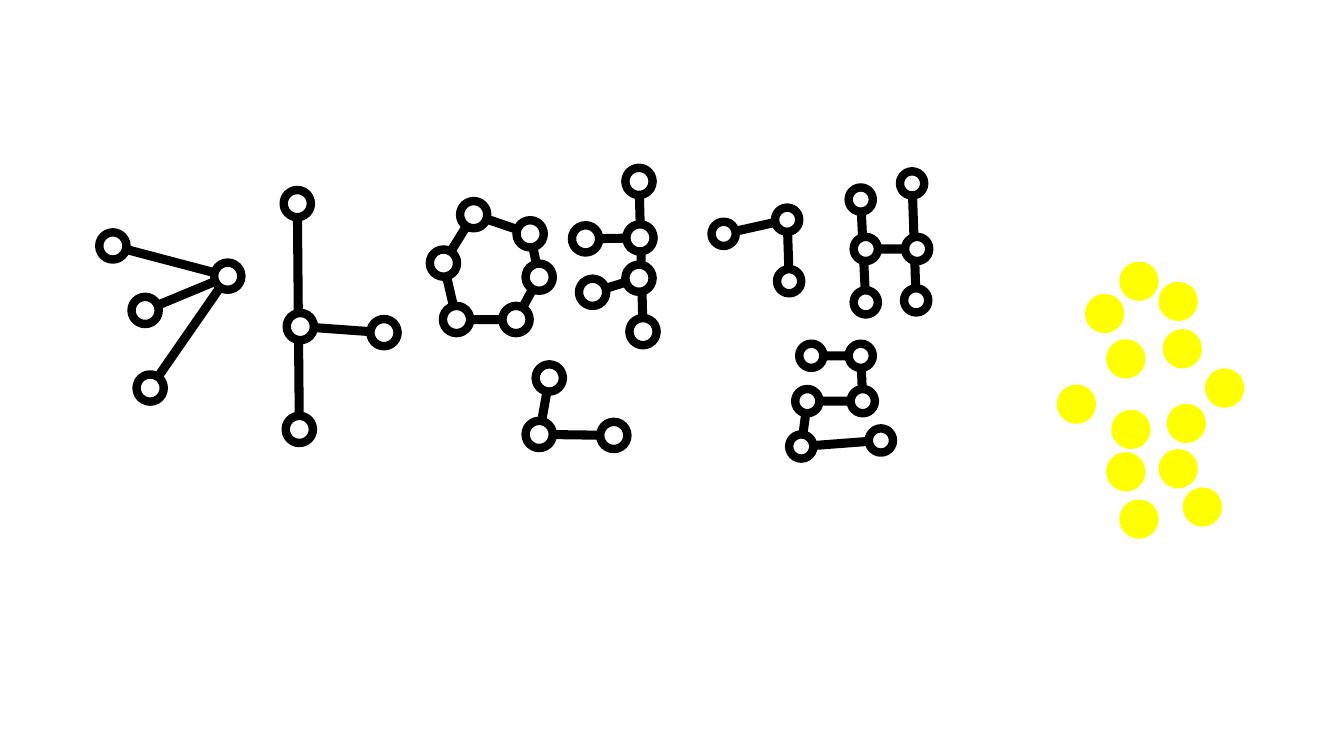
from dataclasses import dataclass
from math import atan2, degrees, hypot

from pptx import Presentation
from pptx.dml.color import RGBColor
from pptx.enum.shapes import MSO_SHAPE
from pptx.util import Cm, Pt

RECTANGLE = MSO_SHAPE.RECTANGLE
OVAL = MSO_SHAPE.OVAL
BLANK_LAYOUT = 6
CM_PER_UNIT = 2.54


@dataclass(frozen=True)
class Theme:
    ink: RGBColor = RGBColor(0, 0, 0)
    paper: RGBColor = RGBColor(255, 255, 255)
    dot: RGBColor = RGBColor(255, 255, 0)
    ring_line: float = 6
    large_ring: float = 0.27
    small_ring: float = 0.24
    bar_height: float = 0.09
    dot_size: float = 0.39


THEME = Theme()


@dataclass(frozen=True)
class Letter:
    box: tuple
    joints: dict
    strokes: tuple
    ring_size: float = THEME.large_ring


LETTERS = {
    "ㄱ fan": Letter(
        box=(1.12, 2.44),
        joints={"upper": (0, 0), "corner": (1.14, 0.3),
                "middle": (0.32, 0.64), "lower": (0.37, 1.41)},
        strokes=("upper corner", "middle corner", "lower corner"),
    ),
    "ㅏ": Letter(
        box=(2.95, 2.02),
        joints={"top": (0, 0), "middle": (0.03, 1.22),
                "tip": (0.86, 1.28), "bottom": (0.02, 2.24)},
        strokes=("middle tip", "top bottom"),
    ),
    "ㅇ": Letter(
        box=(4.4, 2.1),
        joints={"west": (0, 0.51), "northwest": (0.3, 0.03),
                "northeast": (0.86, 0.22), "east": (0.95, 0.65),
                "southeast": (0.72, 1.07), "southwest": (0.13, 1.07)},
        strokes=("west northwest northeast east southeast southwest west",),
    ),
    "ㅕ": Letter(
        box=(5.8, 1.8),
        joints={"upper_tip": (0.01, 0.57), "upper": (0.55, 0.56),
                "lower": (0.54, 0.96), "lower_tip": (0.08, 1.1),
                "bottom": (0.58, 1.49), "top": (0.54, 0)},
        strokes=("top bottom", "lower_tip lower", "upper_tip upper"),
    ),
    "ㄴ": Letter(
        box=(5.35, 3.75),
        joints={"top": (0.1, 0), "corner": (0, 0.56), "tip": (0.74, 0.57)},
        strokes=("top corner tip",),
    ),
    "ㄱ": Letter(
        box=(7.18, 2.18),
        joints={"tip": (0, 0.14), "corner": (0.63, 0), "bottom": (0.65, 0.61)},
        strokes=("tip corner bottom",),
        ring_size=THEME.small_ring,
    ),
    "ㅐ": Letter(
        box=(8.54, 1.82),
        joints={"left_top": (0, 0.16), "left": (0.05, 0.65),
                "left_bottom": (0.05, 1.18), "right_bottom": (0.55, 1.16),
                "right": (0.56, 0.65), "right_top": (0.51, 0)},
        strokes=("left right", "left_top left_bottom", "right_top right_bottom"),
        ring_size=THEME.small_ring,
    ),
    "ㄹ": Letter(
        box=(7.95, 3.53),
        joints={"start": (0.1, 0), "upper_turn": (0.59, 0),
                "middle_right": (0.61, 0.45), "middle_left": (0.06, 0.45),
                "lower_turn": (0, 0.9), "end": (0.79, 0.84)},
        strokes=("start upper_turn middle_right middle_left lower_turn end",),
        ring_size=THEME.small_ring,
    ),
}

DOTS_BOX = (10.67, 2.78)
DOT_COLUMNS = {
    "outer left": [(0.29, 0.33), (0.01, 1.23)],
    "inner left": [(0.63, 0.01), (0.5, 0.78), (0.55, 1.48), (0.5, 1.9), (0.63, 2.37)],
    "inner right": [(1.02, 0.21), (1.06, 0.68), (1.1, 1.42), (1.02, 1.87)],
    "outer right": [(1.48, 1.07), (1.26, 2.25)],
}


def length(units):
    return Cm(units * CM_PER_UNIT)


def shift(box, offset):
    return box[0] + offset[0], box[1] + offset[1]


def add_centred(shapes, kind, centre, width, height, fill):
    left, top = centre[0] - width / 2, centre[1] - height / 2
    mark = shapes.add_shape(
        kind, length(left), length(top), length(width), length(height)
    )
    mark.shadow.inherit = False
    mark.fill.solid()
    mark.fill.fore_color.rgb = fill
    mark.line.fill.background()
    return mark


def add_bar(shapes, start, end):
    run, rise = end[0] - start[0], end[1] - start[1]
    centre = shift(start, (run / 2, rise / 2))
    bar = add_centred(
        shapes, RECTANGLE, centre, hypot(run, rise), THEME.bar_height, THEME.ink
    )
    bar.rotation = degrees(atan2(rise, run))


def add_ring(shapes, centre, size):
    ring = add_centred(shapes, OVAL, centre, size, size, THEME.paper)
    ring.line.color.rgb = THEME.ink
    ring.line.width = Pt(THEME.ring_line)


def draw_letter(page, letter):
    shapes = page.shapes.add_group_shape().shapes
    centres = {
        name: shift(letter.box, offset) for name, offset in letter.joints.items()
    }
    for stroke in letter.strokes:
        stops = [centres[name] for name in stroke.split()]
        for start, end in zip(stops, stops[1:]):
            add_bar(shapes, start, end)
    for centre in centres.values():
        add_ring(shapes, centre, letter.ring_size)


def draw_dots(page, box):
    size = THEME.dot_size
    for column in DOT_COLUMNS.values():
        for offset in column:
            add_centred(page.shapes, OVAL, shift(box, offset), size, size, THEME.dot)


def main():
    deck = Presentation()
    deck.slide_width, deck.slide_height = Cm(33.87), Cm(19.05)
    page = deck.slides.add_slide(deck.slide_layouts[BLANK_LAYOUT])
    for letter in LETTERS.values():
        draw_letter(page, letter)
    draw_dots(page, DOTS_BOX)
    deck.save("out.pptx")


if __name__ == "__main__":
    main()
